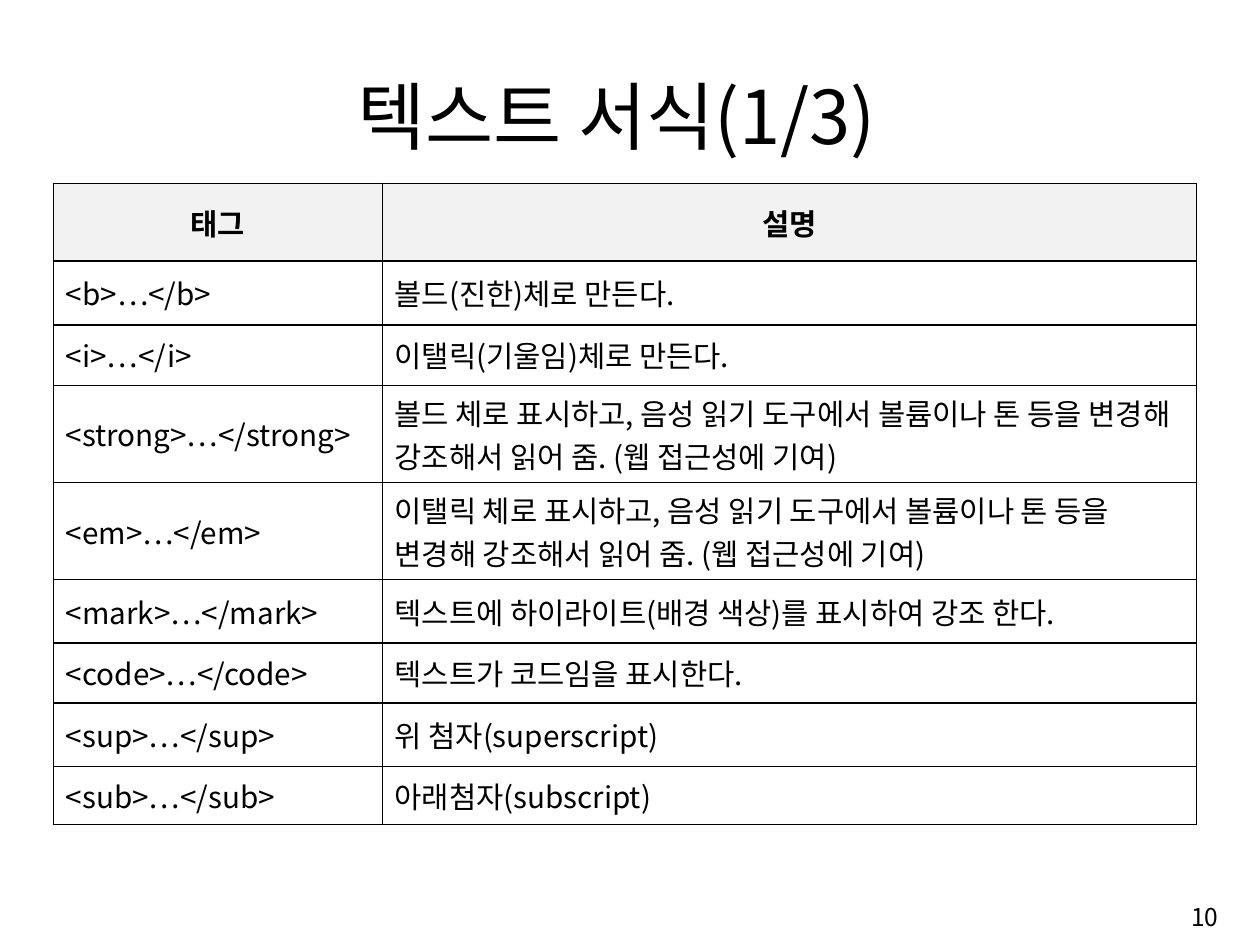
from lxml.etree import SubElement
from pptx import Presentation
from pptx.dml.color import RGBColor
from pptx.enum.text import MSO_ANCHOR, PP_ALIGN
from pptx.oxml import parse_xml
from pptx.oxml.ns import nsdecls, qn
from pptx.util import Inches, Pt

FONT = "Noto Sans CJK KR"
COLORS = {"text": "000000", "border": "000000", "header": "F2F2F2"}
COLUMN_WIDTHS = [3.39, 8.4]
ROW_HEIGHTS = [0.8, 0.66, 0.62, 0.99, 0.96, 0.65, 0.62, 0.65, 0.6]
ACCESSIBILITY = (
    "체로 표시하고, 음성 읽기 도구에서 볼륨이나 톤 등을 "
    "변경해 강조해서 읽어 줌. (웹 접근성에 기여)"
)
HEADINGS = ("태그", "설명")
TAGS = [
    ("b", "볼드(진한)체로 만든다."),
    ("i", "이탤릭(기울임)체로 만든다."),
    ("strong", f"볼드 {ACCESSIBILITY}"),
    ("em", f"이탤릭 {ACCESSIBILITY}"),
    ("mark", "텍스트에 하이라이트(배경 색상)를 표시하여 강조 한다."),
    ("code", "텍스트가 코드임을 표시한다."),
    ("sup", "위 첨자(superscript)"),
    ("sub", "아래첨자(subscript)"),
]


def write_text(text_frame, text, size, alignment, bold=False):
    text_frame.text = text
    paragraph = text_frame.paragraphs[0]
    paragraph.alignment = alignment
    for run in paragraph.runs:
        run.font.size = Pt(size)
        run.font.bold = bold
        run.font.color.rgb = RGBColor.from_string(COLORS["text"])
        run.font.name = FONT
        SubElement(run.font._element, qn("a:ea"), typeface=FONT)


def place(shape, left, top, width, height):
    shape.left, shape.top = Inches(left), Inches(top)
    shape.width, shape.height = Inches(width), Inches(height)


def add_title(slide, left, top, width, height):
    title = slide.shapes.title
    place(title, left, top, width, height)
    title.text_frame.vertical_anchor = MSO_ANCHOR.BOTTOM
    write_text(title.text_frame, "텍스트 서식(1/3)", 55, PP_ALIGN.CENTER)


def add_borders(cell):
    properties = cell._tc.get_or_add_tcPr()
    for index, side in enumerate(("lnL", "lnR", "lnT", "lnB")):
        border = parse_xml(
            f'<a:{side} {nsdecls("a")} w="{Pt(1)}"><a:solidFill>'
            f'<a:srgbClr val="{COLORS["border"]}"/></a:solidFill></a:{side}>'
        )
        properties.insert(index, border)


def format_cell(cell, text, is_header):
    cell.vertical_anchor = MSO_ANCHOR.MIDDLE
    cell.margin_left = cell.margin_right = Inches(0.13)
    cell.margin_top = cell.margin_bottom = Inches(0.06)
    alignment = PP_ALIGN.CENTER if is_header else PP_ALIGN.LEFT
    write_text(cell.text_frame, text, 22, alignment, is_header)
    if is_header:
        cell.fill.solid()
        cell.fill.fore_color.rgb = RGBColor.from_string(COLORS["header"])
    else:
        cell.fill.background()
    add_borders(cell)


def add_tag_table(slide, left, top):
    rows = [HEADINGS] + [(f"<{tag}>…</{tag}>", meaning) for tag, meaning in TAGS]
    table = slide.shapes.add_table(
        len(rows), len(HEADINGS), Inches(left), Inches(top),
        Inches(sum(COLUMN_WIDTHS)), Inches(sum(ROW_HEIGHTS)),
    ).table
    table.horz_banding = False
    for column, width in zip(table.columns, COLUMN_WIDTHS):
        column.width = Inches(width)
    for row, height in zip(table.rows, ROW_HEIGHTS):
        row.height = Inches(height)
    for row_index, texts in enumerate(rows):
        for column_index, text in enumerate(texts):
            format_cell(table.cell(row_index, column_index), text, row_index == 0)


def add_page_number(slide, left, top, width, height):
    box = slide.shapes.add_textbox(
        Inches(left), Inches(top), Inches(width), Inches(height)
    )
    box.text_frame.word_wrap = True
    box.text_frame.vertical_anchor = MSO_ANCHOR.MIDDLE
    write_text(box.text_frame, "10", 18.2, PP_ALIGN.RIGHT)


def main():
    presentation = Presentation()
    presentation.slide_width = Inches(12.99)
    presentation.slide_height = Inches(9.74)
    slide = presentation.slides.add_slide(presentation.slide_layouts[5])
    add_title(slide, 1.05, 0.61, 10.61, 1.08)
    add_tag_table(slide, 0.55, 1.89)
    add_page_number(slide, 9.98, 9.15, 2.68, 0.6)
    presentation.save("out.pptx")


if __name__ == "__main__":
    main()
